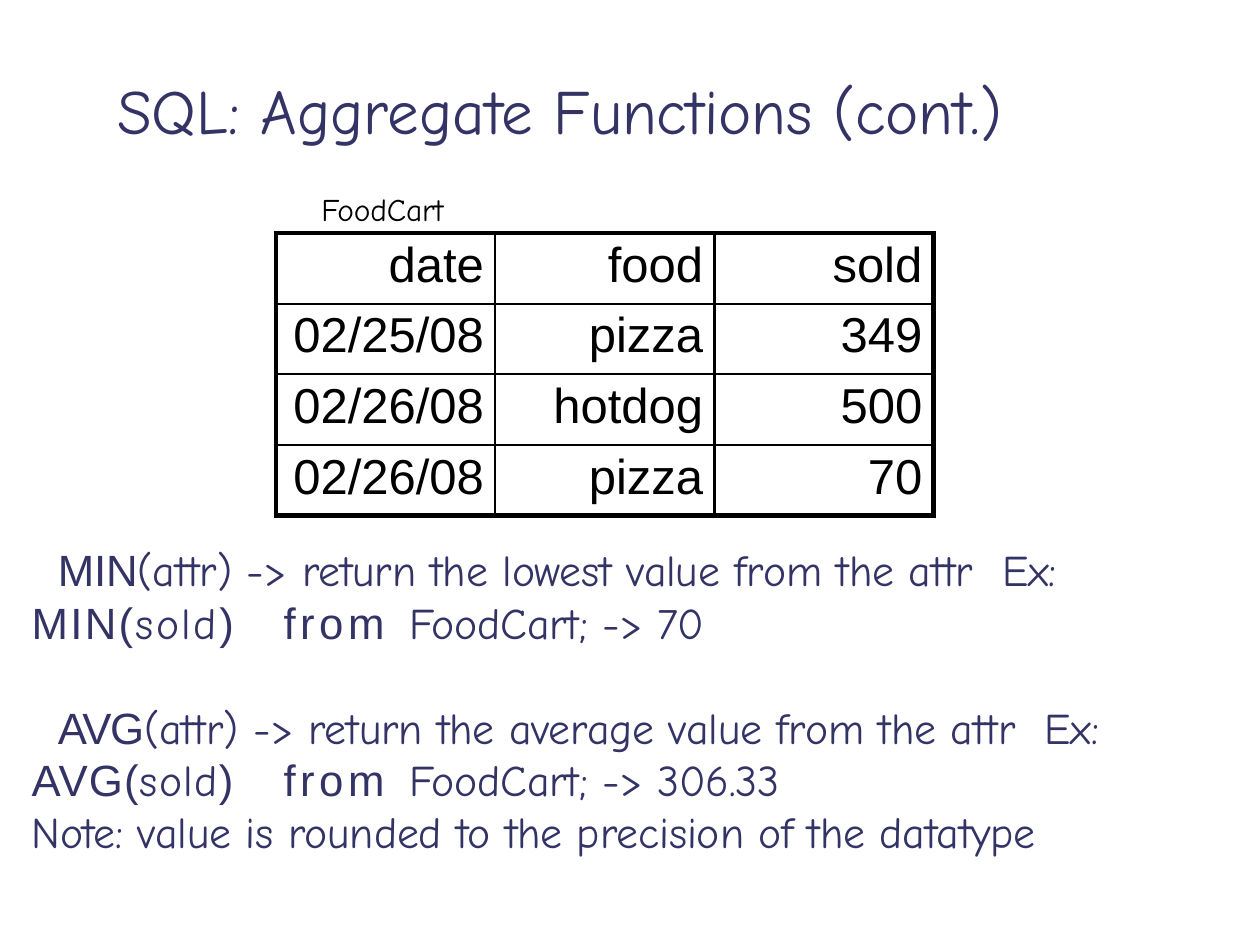
from dataclasses import dataclass

from lxml.etree import SubElement
from pptx import Presentation
from pptx.dml.color import RGBColor
from pptx.enum.text import PP_ALIGN
from pptx.oxml.ns import qn
from pptx.slide import Slide
from pptx.table import _Cell
from pptx.util import Inches, Pt

NAVY, BLACK = "333366", "000000"
ARIAL, COMIC = "Arial", "Comic Neue"
CELL_FORMAT = {"margin_left": 0, "margin_top": Inches(0.04),
               "margin_right": Inches(0.09), "margin_bottom": 0}
FRAME_FORMAT = {"margin_left": 0, "margin_top": Inches(0.01),
                "margin_right": 0, "margin_bottom": 0, "word_wrap": True}
ROWS = (("date", "food", "sold"),
        ("02/25/08", "pizza", "349"),
        ("02/26/08", "hotdog", "500"),
        ("02/26/08", "pizza", "70"))
COLUMN_WIDTH, ROW_HEIGHT = 1.74, 0.56
THIN, THICK = 1.5, 3


@dataclass(frozen=True)
class TextRun:
    text: str
    font: str = COMIC
    spacing: float = 0


@dataclass(frozen=True)
class TextLine:
    runs: tuple[TextRun, ...]
    before: float = 1
    indent: float = 0
    line_spacing: float | None = None


@dataclass(frozen=True)
class TextBlock:
    left: float
    top: float
    width: float
    height: float
    size: float
    color: str
    lines: tuple[TextLine, ...]


def set_format(target: object, values: dict) -> None:
    for name, value in values.items():
        setattr(target, name, value)


def rgb(color: str) -> RGBColor:
    return RGBColor.from_string(color)


def add_run(paragraph, content: TextRun, size: float, color: str) -> None:
    run = paragraph.add_run()
    run.text = content.text
    set_format(run.font, {"name": content.font, "size": Pt(size)})
    run.font.color.rgb = rgb(color)
    if content.spacing:
        run.font._element.set("spc", str(round(content.spacing * 100)))


def add_text(slide: Slide, block: TextBlock) -> None:
    place = (block.left, block.top, block.width, block.height)
    frame = slide.shapes.add_textbox(*map(Inches, place)).text_frame
    set_format(frame, FRAME_FORMAT)
    for index, line in enumerate(block.lines):
        paragraph = frame.add_paragraph() if index else frame.paragraphs[0]
        paragraph.space_before = Pt(line.before)
        if line.line_spacing:
            paragraph.line_spacing = Pt(line.line_spacing)
        properties = paragraph._p.get_or_add_pPr()
        for name, length in (("marL", 0.01), ("indent", line.indent), ("defTabSz", 1)):
            properties.set(name, str(Inches(length)))
        for content in line.runs:
            add_run(paragraph, content, block.size, block.color)


def add_borders(cell: _Cell, widths: dict[str, float]) -> None:
    properties = cell._tc.get_or_add_tcPr()
    for index, (side, width) in enumerate(widths.items()):
        line = properties.makeelement(qn(f"a:ln{side}"), {"w": str(Pt(width))})
        fill = SubElement(line, qn("a:solidFill"))
        SubElement(fill, qn("a:srgbClr"), val=BLACK)
        properties.insert(index, line)


def add_food_table(slide: Slide, left: float, top: float) -> None:
    row_count, column_count = len(ROWS), len(ROWS[0])
    size = (column_count * COLUMN_WIDTH, row_count * ROW_HEIGHT)
    table = slide.shapes.add_table(
        row_count, column_count, *map(Inches, (left, top, *size))).table
    set_format(table, {"first_row": False, "horz_banding": False})
    for row_index, row in enumerate(ROWS):
        for column_index, text in enumerate(row):
            cell = table.cell(row_index, column_index)
            set_format(cell, CELL_FORMAT)
            cell.fill.background()
            paragraph = cell.text_frame.paragraphs[0]
            set_format(paragraph, {"alignment": PP_ALIGN.RIGHT, "space_before": Pt(2.9)})
            add_run(paragraph, TextRun(text, ARIAL), 28, BLACK)
            outer = {"L": column_index == 0, "R": column_index == column_count - 1,
                     "T": row_index == 0, "B": row_index == row_count - 1}
            add_borders(cell, {side: THICK if edge else THIN for side, edge in outer.items()})


def function_line(name: str, meaning: str, result: str, before: float,
                  name_spacing: float, call_spacing: float) -> TextLine:
    return TextLine((
        TextRun(name, ARIAL, name_spacing),
        TextRun(f"(attr) -> return the {meaning} value from the attr  Ex:\t", COMIC, -0.05),
        TextRun(f"{name}(", ARIAL, call_spacing),
        TextRun("sold", COMIC, call_spacing),
        TextRun(")\t", ARIAL, call_spacing),
        TextRun("from\t", ARIAL, 2.6),
        TextRun(f"FoodCart; -> {result}", COMIC, -0.1),
    ), before, 0.21)


BLOCKS = (
    TextBlock(0.92, 0.56, 7.86, 0.63, 36, NAVY, (
        TextLine((TextRun("SQL: Aggregate "),
                  TextRun("Functions (cont.)", spacing=-0.1))),)),
    TextBlock(0.24, 4.3, 8.98, 2.52, 25, NAVY, (
        function_line("MIN", "lowest", "70", 1, -0.1, 1.4),
        function_line("AVG", "average", "306.33", 30, -0.8, 0.7),
        TextLine((TextRun("Note: value is rounded to the precision of the datatype",
                          spacing=-0.05),), 0, 0, 29.8))),
    TextBlock(2.54, 1.5, 1.11, 0.33, 18, BLACK, (
        TextLine((TextRun("FoodCart", spacing=-0.1),)),)),
)

presentation = Presentation()
set_format(presentation, {"slide_width": Inches(10), "slide_height": Inches(7.5)})
slide = presentation.slides.add_slide(presentation.slide_layouts[6])
add_food_table(slide, 2.19, 1.85)
for block in BLOCKS:
    add_text(slide, block)
presentation.save("out.pptx")
